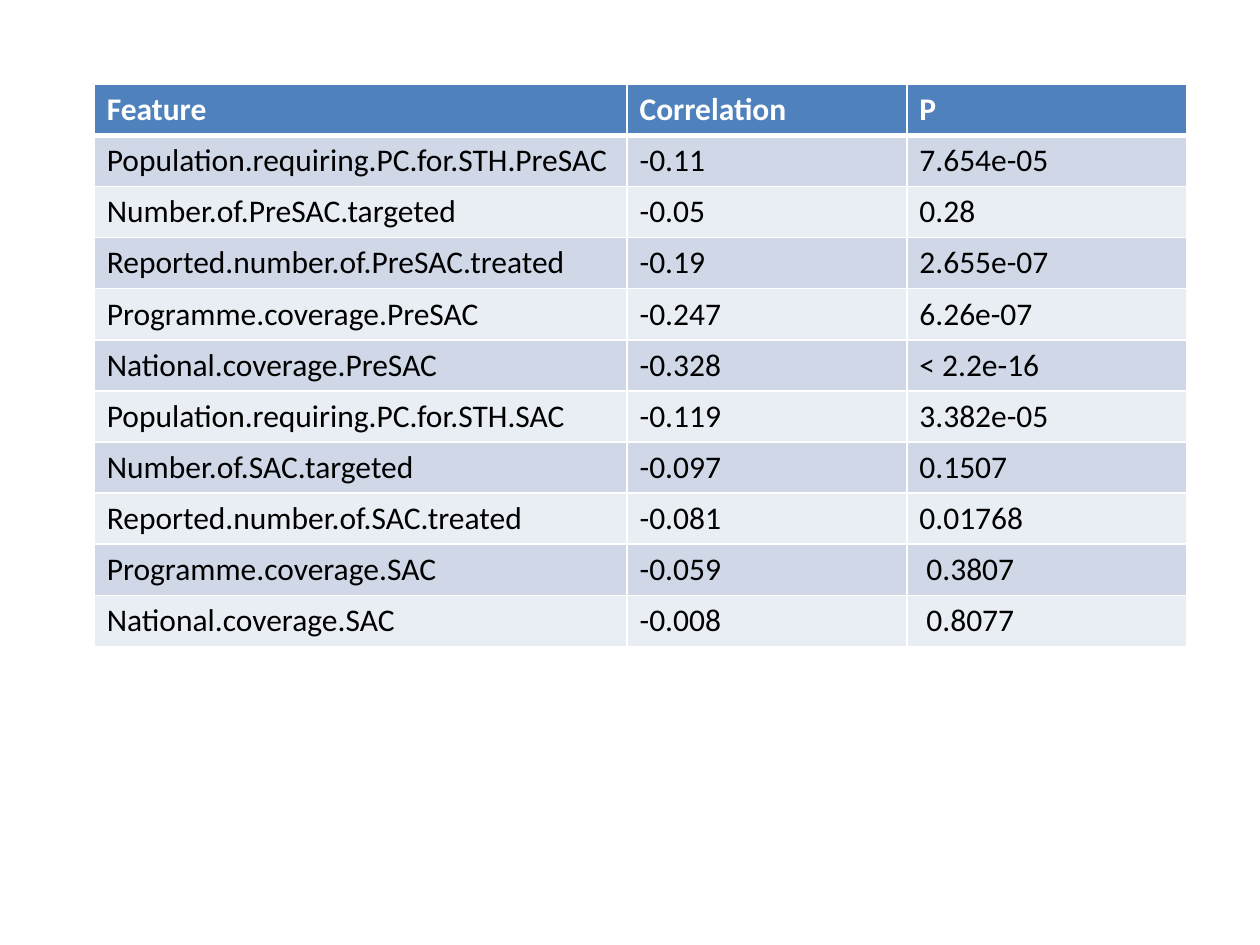
"""Build a slide with a table of feature correlations and P values."""
from typing import NamedTuple

from lxml.etree import SubElement
from pptx import Presentation
from pptx.dml.color import RGBColor as RGB
from pptx.oxml.ns import qn
from pptx.util import Cm, Pt

WHITE = RGB(0xFF, 0xFF, 0xFF)
BLACK = RGB(0x00, 0x00, 0x00)
HEADER_BLUE = RGB(0x4F, 0x81, 0xBD)
BANDS = RGB(0xE9, 0xED, 0xF4), RGB(0xD0, 0xD8, 0xE8)
COL_WIDTHS = Cm(10.74), Cm(5.64), Cm(5.64)
ROW_HEIGHT = Cm(1.03)
THIN, THICK = Pt(1), Pt(3)


class Result(NamedTuple):
    feature: str
    correlation: str
    p_value: str


HEADER = Result("Feature", "Correlation", "P")
RESULTS = [
    Result("Population.requiring.PC.for.STH.PreSAC", "-0.11", "7.654e-05"),
    Result("Number.of.PreSAC.targeted", "-0.05", "0.28"),
    Result("Reported.number.of.PreSAC.treated", "-0.19", "2.655e-07"),
    Result("Programme.coverage.PreSAC", "-0.247", "6.26e-07"),
    Result("National.coverage.PreSAC", "-0.328", "< 2.2e-16"),
    Result("Population.requiring.PC.for.STH.SAC", "-0.119", "3.382e-05"),
    Result("Number.of.SAC.targeted", "-0.097", "0.1507"),
    Result("Reported.number.of.SAC.treated", "-0.081", "0.01768"),
    Result("Programme.coverage.SAC", "-0.059", " 0.3807"),
    Result("National.coverage.SAC", "-0.008", " 0.8077"),
]


def set_borders(cell, top: int = THIN, bottom: int = THIN) -> None:
    tc_pr = cell._tc.get_or_add_tcPr()
    for side, width in zip("LRTB", (THIN, THIN, top, bottom)):
        ln = SubElement(tc_pr, qn(f"a:ln{side}"), w=str(width))
        fill = SubElement(ln, qn("a:solidFill"))
        SubElement(fill, qn("a:srgbClr"), val=str(WHITE))


def set_text(tf, text: str, *, size: int = 18, font: str = "Calibri",
             color: RGB = BLACK, bold: bool = False) -> None:
    r = tf.paragraphs[0].add_run()
    r.text = text
    r.font.size, r.font.name, r.font.bold = Pt(size), font, bold
    r.font.color.rgb = color


def add_results_table(s, header: Result, results: list[Result]) -> None:
    rows = [header, *results]
    table = s.shapes.add_table(len(rows), len(header), Cm(1.9), Cm(1.7),
                               sum(COL_WIDTHS), ROW_HEIGHT * len(rows)).table
    for column, width in zip(table.columns, COL_WIDTHS):
        column.width = width
    for i, result in enumerate(rows):
        is_header = i == 0
        for cell, text in zip(table.rows[i].cells, result):
            set_borders(cell, top=THICK if i == 1 else THIN,
                        bottom=THICK if is_header else THIN)
            cell.fill.solid()
            cell.fill.fore_color.rgb = HEADER_BLUE if is_header else BANDS[i % 2]
            set_text(cell.text_frame, text, bold=is_header,
                     color=WHITE if is_header else BLACK)


def main() -> None:
    prs = Presentation()
    prs.slide_width, prs.slide_height = Cm(25.4), Cm(19.05)
    s = prs.slides.add_slide(prs.slide_layouts[6])
    add_results_table(s, HEADER, RESULTS)
    prs.save("out.pptx")


if __name__ == "__main__":
    main()
